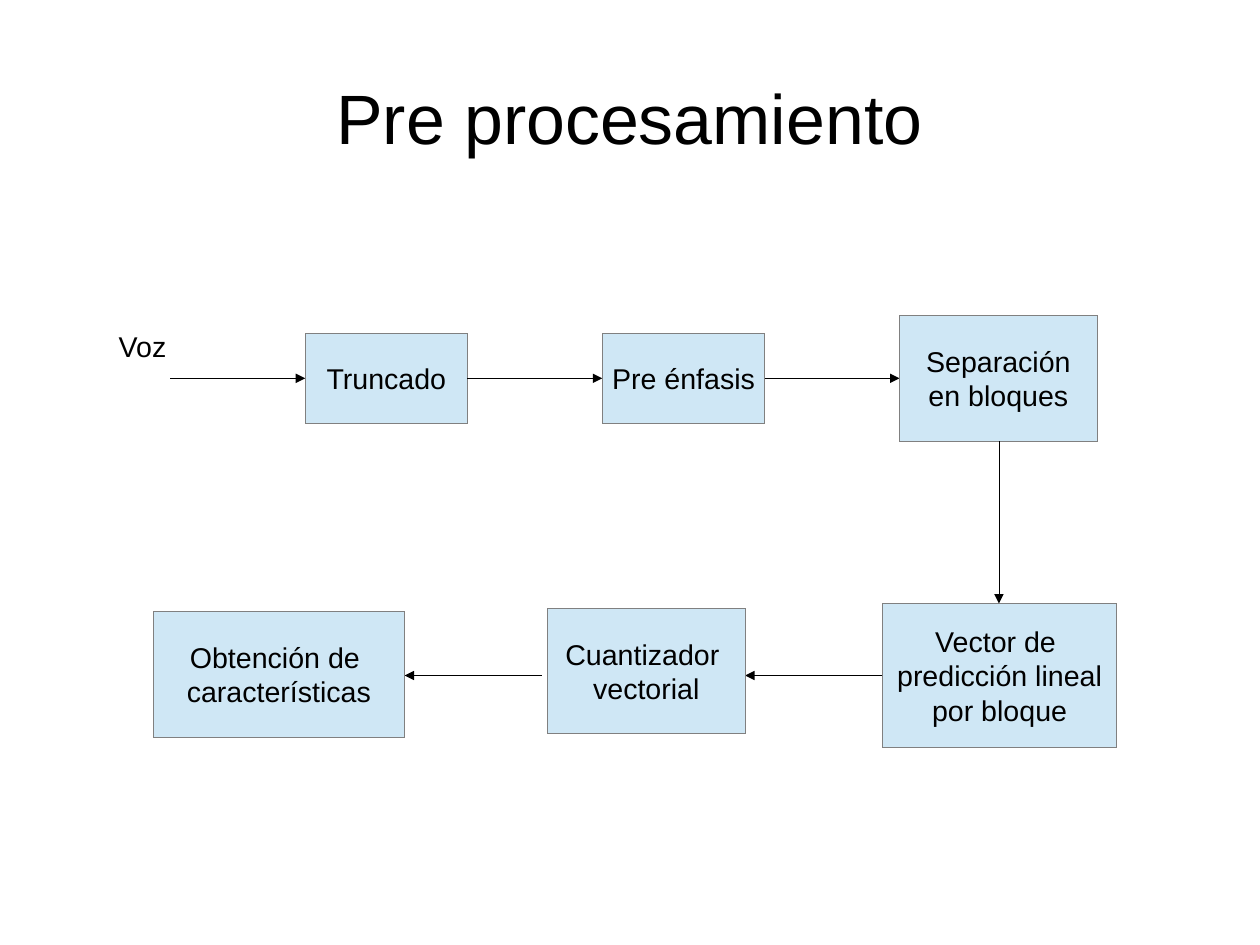
from pptx import Presentation
from pptx import util as u
from pptx.dml.color import RGBColor
from pptx.enum import shapes, text
from pptx.oxml.ns import qn
from lxml import etree

INSETS = (0.1, 0.05, 0.1, 0.05)


def rgb(value):
    return RGBColor.from_string(value)


def write(sp, lines, size, align, anchor, insets, wrap):
    tf = sp.text_frame
    sides = ("margin_left", "margin_top", "margin_right", "margin_bottom")
    frame = {side: u.Inches(n) for side, n in zip(sides, insets)}
    frame.update(word_wrap=wrap, vertical_anchor=anchor)
    for name, value in frame.items():
        setattr(tf, name, value)
    for i, line in enumerate(lines):
        p = tf.paragraphs[0] if i == 0 else tf.add_paragraph()
        p.alignment = align
        r = p.add_run()
        r.text = line
        for name, value in {"size": u.Pt(size), "name": "Arial"}.items():
            setattr(r.font, name, value)
        r.font.color.rgb = rgb("000000")


def hairline(line, color):
    line.color.rgb = rgb(color)
    ln = line._get_or_add_ln()
    ln.set("w", "0")
    return ln


def step(s, x, y, w, h, lines):
    sp = s.shapes.add_shape(shapes.MSO_SHAPE.RECTANGLE, *map(u.Inches, (x, y, w, h)))
    sp.shadow.inherit = False
    sp.fill.solid()
    sp.fill.fore_color.rgb = rgb("CFE7F5")
    hairline(sp.line, "808080")
    write(sp, lines, 18, text.PP_ALIGN.CENTER, text.MSO_ANCHOR.MIDDLE, INSETS, False)


def arrow(s, x1, y1, x2, y2):
    c = s.shapes.add_connector(shapes.MSO_CONNECTOR.STRAIGHT,
                               *map(u.Inches, (x1, y1, x2, y2)))
    ln = hairline(c.line, "000000")
    etree.SubElement(ln, qn("a:tailEnd"), type="triangle")
    etree.SubElement(c._element.spPr, qn("a:effectLst"))


def title(s, x, y, w, h):
    sp = s.shapes.title
    box = {"left": x, "top": y, "width": w, "height": h}
    for name, value in box.items():
        setattr(sp, name, u.Inches(value))
    write(sp, ["Pre procesamiento"], 44, text.PP_ALIGN.CENTER,
          text.MSO_ANCHOR.MIDDLE, (0, 0, 0, 0), True)


def top_row(s, x, mid):
    """Voice input, then steps from left to right."""
    voice = s.shapes.add_textbox(*map(u.Inches, (x, mid - 0.48, 1.1, 0.38)))
    write(voice, ["Voz"], 18, text.PP_ALIGN.LEFT, text.MSO_ANCHOR.TOP, INSETS, True)
    x += 0.55
    gap = 1.18
    for w, h, lines in [(1.42, 0.79, ["Truncado"]),
                        (1.42, 0.79, ["Pre énfasis"]),
                        (1.73, 1.1, ["Separación", "en bloques"])]:
        arrow(s, x, mid, x + gap, mid)
        step(s, x + gap, mid - h / 2, w, h, lines)
        x += gap + w


def bottom_row(s, right, mid):
    """Steps from right to left; each arrow ends at the next step."""
    gap = 1.2
    # width, height, rise above the arrow line, space before the incoming arrow
    steps = [(2.05, 1.26, 0.63, None, ["Vector de ", "predicción lineal", "por bloque"]),
             (1.73, 1.1, 0.59, 0, ["Cuantizador ", "vectorial"]),
             (2.2, 1.1, 0.56, 0.05, ["Obtención de ", "características"])]
    for w, h, rise, space, lines in steps:
        if space is not None:
            start = right - space
            right = start - gap
            arrow(s, start, mid, right, mid)
        right -= w
        step(s, right, mid - rise, w, h, lines)


def main():
    prs = Presentation()
    prs.slide_width = u.Cm(28)
    prs.slide_height = u.Cm(21)
    s = prs.slides.add_slide(prs.slide_layouts[5])
    title(s, 0.55, 0.33, 9.92, 1.38)
    top_row(s, 0.94, 3.31)
    bottom_row(s, 9.77, 5.91)
    # Link between the rows
    arrow(s, 8.74, 3.86, 8.74, 5.28)
    prs.save("out.pptx")


if __name__ == "__main__":
    main()
